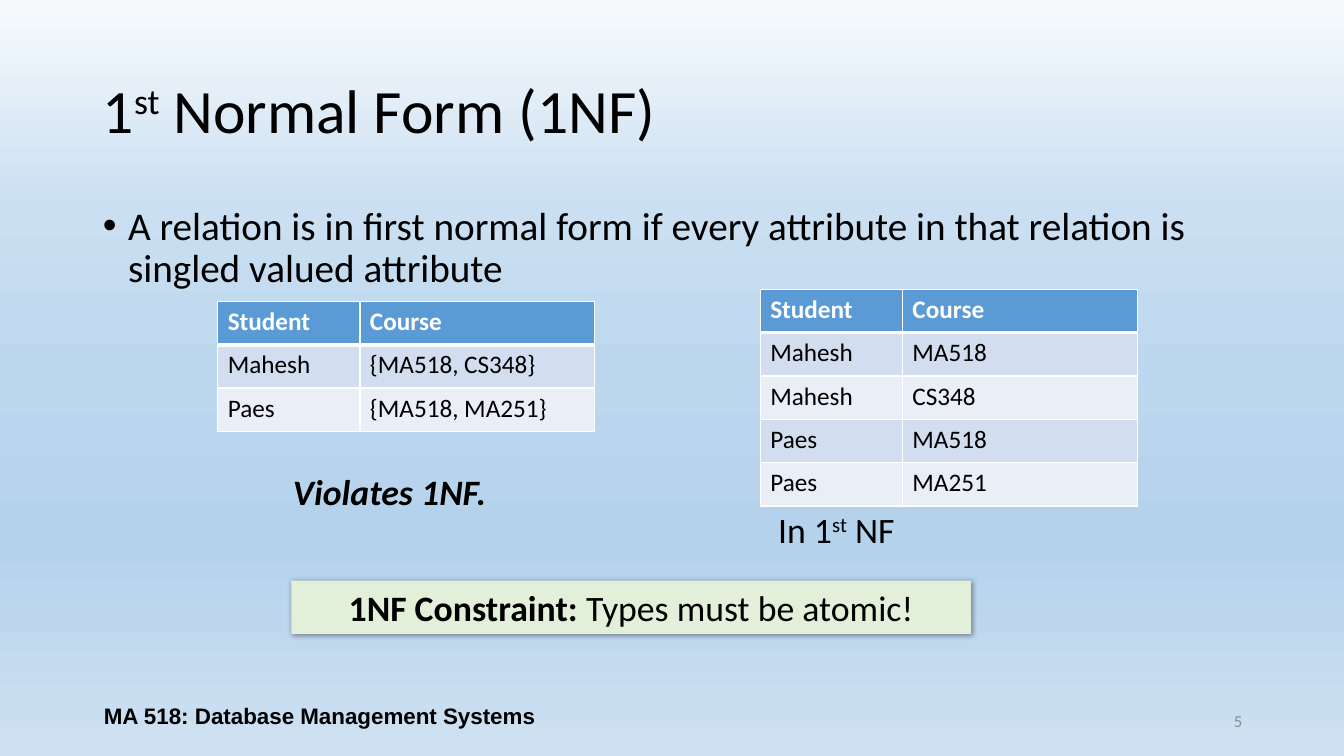
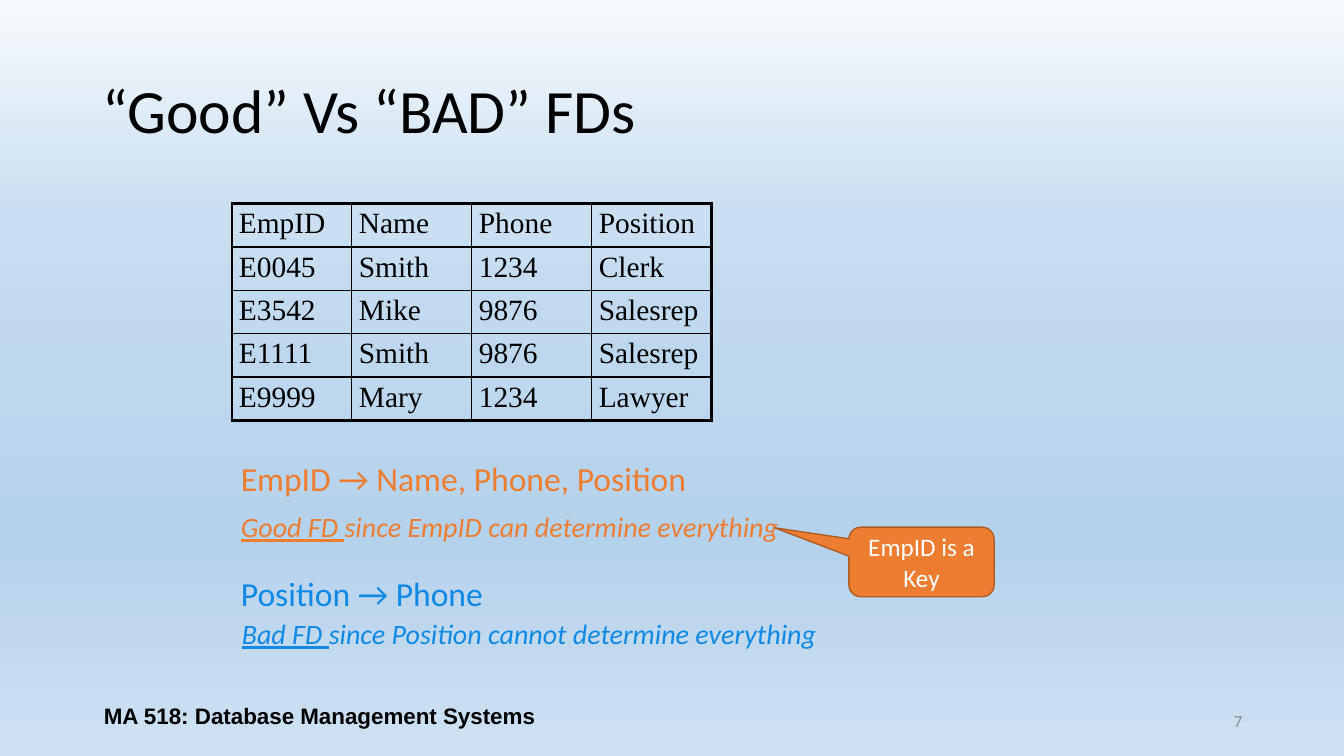
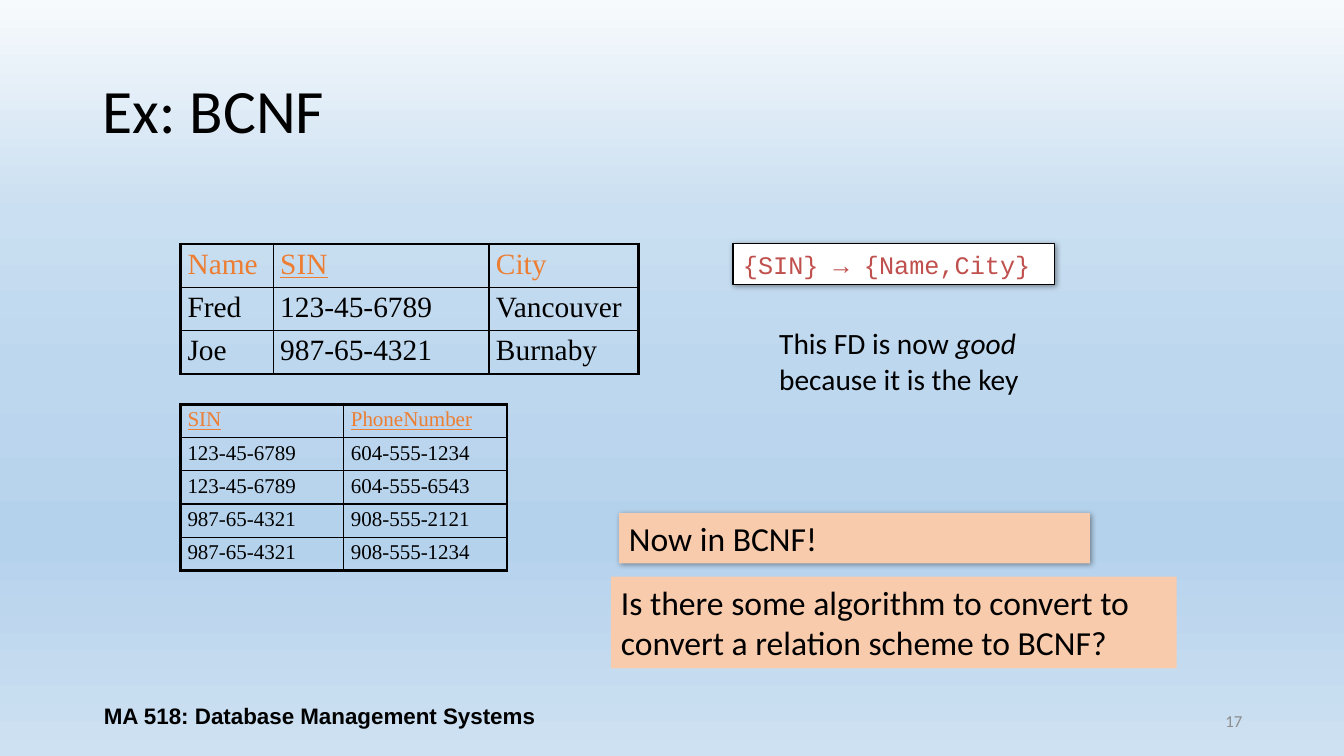
from lxml import etree
from pptx import Presentation
from pptx.dml.color import RGBColor
from pptx.enum import shapes, text
from pptx.oxml import ns
from pptx.util import Inches, Pt

COLORS = {
    "black": "000000", "white": "FFFFFF", "gray": "8C8C8C",
    "orange": "ED7D31", "rust": "AF5C24", "peach": "F8CBAD",
    "blue": "0F89E4", "header": "5B9BD5", "band": "D2DEEF", "pale band": "EAEFF7",
    "green": "E2F0D9", "red": "C0504D",
}
SKY = [(0, "F7FAFD"), (28, "CADFF1"), (49, "BDD7EE"), (72, "B5D2EC"), (100, "CEE1F2")]
COURSE = "MA 518: Database Management Systems"
NO_TABLE_STYLE = "{2D5ABB26-0587-4C30-8999-92F81FD0307C}"
LEFT, CENTER, RIGHT = text.PP_ALIGN.LEFT, text.PP_ALIGN.CENTER, text.PP_ALIGN.RIGHT
MIDDLE = text.MSO_ANCHOR.MIDDLE


def write(frame, runs, size, color="black", font="Calibri", align=LEFT):
    """Fill the first paragraph with a string or (words, marks) pairs.

    Marks are b, i, u and ^ for bold, italic, underline and superscript.
    """
    if isinstance(runs, str):
        runs = [(runs, "")]
    paragraph = frame.paragraphs[0]
    paragraph.alignment = align
    paragraph.font.size = Pt(size)
    paragraph.font.name = font
    paragraph.font.color.rgb = RGBColor.from_string(COLORS[color])
    for words, marks in runs:
        run = paragraph.add_run()
        run.text = words
        styled = paragraph.font if len(runs) == 1 else run.font
        styled.bold = "b" in marks
        styled.italic = "i" in marks
        styled.underline = "u" in marks
        if "^" in marks:
            run.font._element.set("baseline", "30000")
    return paragraph


def add_box(slide, box, runs, size, fill=None, line=None, line_width=1, shadow=False,
            kind=shapes.MSO_SHAPE.RECTANGLE, anchor=text.MSO_ANCHOR.TOP, **style):
    """Add a text box, or a preset shape when a fill is given."""
    place = [Inches(length) for length in box]
    if fill:
        added = slide.shapes.add_shape(kind, *place)
        added.shadow.inherit = False
        added.fill.solid()
        added.fill.fore_color.rgb = RGBColor.from_string(COLORS[fill])
        if line:
            added.line.color.rgb = RGBColor.from_string(COLORS[line])
            added.line.width = Pt(line_width)
        else:
            added.line.fill.background()
        if shadow:
            effects = added._element.spPr.find(ns.qn("a:effectLst"))
            cast = etree.SubElement(effects, ns.qn("a:outerShdw"), blurRad=str(Pt(4)),
                                    dist=str(Pt(1)), dir="2700000", rotWithShape="0")
            tint = etree.SubElement(cast, ns.qn("a:srgbClr"), val=COLORS["black"])
            etree.SubElement(tint, ns.qn("a:alpha"), val="40000")
    else:
        added = slide.shapes.add_textbox(*place)
    added.text_frame.word_wrap = True
    added.text_frame.vertical_anchor = anchor
    write(added.text_frame, runs, size, **style)
    return added


deck = Presentation()
deck.slide_width, deck.slide_height = Inches(13.33), Inches(7.5)

# Background shared through the master
background = deck.slide_master.background.fill
background.gradient()
gradient = next(deck.slide_master.element.iter(ns.qn("a:gradFill")))
for part in list(gradient):
    gradient.remove(part)
stops = etree.SubElement(gradient, ns.qn("a:gsLst"))
for percent, shade in SKY:
    stop = etree.SubElement(stops, ns.qn("a:gs"), pos=str(percent * 1000))
    etree.SubElement(stop, ns.qn("a:srgbClr"), val=shade)
etree.SubElement(gradient, ns.qn("a:lin"), ang="5400000", scaled="0")

# Titles, footers and slide numbers
TITLE_AND_CONTENT, TITLE_ONLY = deck.slide_layouts[1], deck.slide_layouts[5]
slides = []
for layout, number, heading in [
    (TITLE_AND_CONTENT, "5", [("1", ""), ("st", "^"), (" Normal Form (1NF)", "")]),
    (TITLE_ONLY, "7", "“Good” Vs “BAD” FDs"),
    (TITLE_ONLY, "17", "Ex: BCNF"),
]:
    slide = deck.slides.add_slide(layout)
    title = slide.shapes.title
    title.left, title.top = Inches(0.92), Inches(0.4)
    title.width, title.height = Inches(11.5), Inches(1.45)
    title.text_frame.vertical_anchor = MIDDLE
    write(title.text_frame, heading, 44).line_spacing = 0.9
    add_box(slide, (9.42, 6.95, 3, 0.4), number, 12, color="gray", align=RIGHT, anchor=MIDDLE)
    add_box(slide, (0.92, 6.9, 4.5, 0.4), [(COURSE, "b")], 16, font="Arial",
            align=CENTER, anchor=MIDDLE)
    slides.append(slide)
first_form, dependencies, bcnf = slides

# Tables
banded = dict(size=18, font="Calibri", header_color="white", line="white", outer=1,
              header_rule=3, fills=["header", "band", "pale band"], insets=(0.1, 0.05))
ruled = dict(size=21, font="Times New Roman", header_color="orange", line="black", outer=2.25,
             header_rule=1, fills=None, insets=(0.07, 0.04))
course_header = [[("Student", "b")], [("Course", "b")]]
for slide, place, row_height, widths, look, rows in [
    (first_form, (2.16, 2.99), 0.43, [1.41, 2.33], banded, [
        course_header,
        ["Mahesh", "{MA518, CS348}"],
        ["Paes", "{MA518, MA251}"],
    ]),
    (first_form, (7.54, 2.87), 0.43, [1.41, 2.33], banded, [
        course_header,
        ["Mahesh", "MA518"],
        ["Mahesh", "CS348"],
        ["Paes", "MA518"],
        ["Paes", "MA251"],
    ]),
    (dependencies, (2.3, 2.02), 0.42, [1.19] * 4,
     ruled | dict(header_color="black", header_rule=2.25), [
        ["EmpID", "Name", "Phone", "Position"],
        ["E0045", "Smith", "1234", "Clerk"],
        ["E3542", "Mike", "9876", "Salesrep"],
        ["E1111", "Smith", "9876", "Salesrep"],
        ["E9999", "Mary", "1234", "Lawyer"],
    ]),
    (bcnf, (1.79, 2.42), 0.42, [0.92, 2.14, 1.48], ruled, [
        ["Name", [("SIN", "u")], "City"],
        ["Fred", "123-45-6789", "Vancouver"],
        ["Joe", "987-65-4321", "Burnaby"],
    ]),
    (bcnf, (1.79, 4.01), 0.33, [1.62, 1.62], ruled | dict(size=15), [
        [[("SIN", "u")], [("PhoneNumber", "u")]],
        ["123-45-6789", "604-555-1234"],
        ["123-45-6789", "604-555-6543"],
        ["987-65-4321", "908-555-2121"],
        ["987-65-4321", "908-555-1234"],
    ]),
]:
    left, top = place
    frame = slide.shapes.add_table(len(rows), len(widths), Inches(left), Inches(top),
                                   Inches(sum(widths)), Inches(row_height * len(rows)))
    grid = frame.table
    grid.first_row = grid.horz_banding = False
    grid._tbl.tblPr.find(ns.qn("a:tableStyleId")).text = NO_TABLE_STYLE
    for column, width in zip(grid.columns, widths):
        column.width = Inches(width)
    # Rule widths from the first edge to the last
    across = [look["outer"]] + [1] * (len(widths) - 1) + [look["outer"]]
    down = [look["outer"], look["header_rule"]] + [1] * (len(rows) - 2) + [look["outer"]]
    for r, row in enumerate(rows):
        grid.rows[r].height = Inches(row_height)
        for c, words in enumerate(row):
            cell = grid.cell(r, c)
            cell.margin_left = cell.margin_right = Inches(look["insets"][0])
            cell.margin_top = cell.margin_bottom = Inches(look["insets"][1])
            write(cell.text_frame, words, look["size"], font=look["font"],
                  color="black" if r else look["header_color"])
            edges = {"L": across[c], "R": across[c + 1], "T": down[r], "B": down[r + 1]}
            for side, weight in edges.items():
                edge = etree.SubElement(cell._tc.get_or_add_tcPr(), ns.qn("a:ln" + side),
                                        w=str(Pt(weight)))
                ink = etree.SubElement(edge, ns.qn("a:solidFill"))
                etree.SubElement(ink, ns.qn("a:srgbClr"), val=COLORS[look["line"]])
            if look["fills"]:
                shade = look["fills"][0 if r == 0 else 2 - r % 2]
                cell.fill.solid()
                cell.fill.fore_color.rgb = RGBColor.from_string(COLORS[shade])
            else:
                cell.fill.background()

# 1st Normal Form
definition = first_form.placeholders[1]
definition.left, definition.top = Inches(0.92), Inches(2)
definition.width, definition.height = Inches(11.5), Inches(4.76)
bullet = definition.text_frame.paragraphs[0]._p.get_or_add_pPr()
bullet.set("marL", str(Inches(0.25)))
bullet.set("indent", str(Inches(-0.25)))
etree.SubElement(bullet, ns.qn("a:buChar"), char="•")
sentence = write(definition.text_frame, "A relation is in first normal form if every attribute "
                 "in that relation is singled valued attribute", 28)
sentence.line_spacing = 0.9
sentence.space_before = Pt(0)
add_box(first_form, (2.57, 4.61, 2.59, 0.53), [("Violates 1NF.", "bi")], 25.5, align=CENTER)
add_box(first_form, (7.55, 4.99, 1.49, 0.53), [("In 1", ""), ("st", "^"), (" NF", "")], 25.5,
        align=CENTER)
add_box(first_form, (2.89, 5.76, 6.74, 0.53),
        [("1NF Constraint: ", "b"), ("Types must be atomic!", "")], 25.5,
        fill="green", shadow=True, align=CENTER)

# Good and bad functional dependencies
for color, rule_box, rule, reason_box, verdict, reason in [
    ("orange", (2.29, 4.49, 4.69, 0.5), "EmpID → Name, Phone, Position",
     (2.29, 5.01, 5.64, 0.44), "Good FD ", "since EmpID can determine everything"),
    ("blue", (2.29, 5.63, 2.65, 0.5), "Position → Phone",
     (2.3, 6.07, 5.94, 0.44), "Bad FD ", "since Position cannot determine everything"),
]:
    add_box(dependencies, rule_box, rule, 24, color=color)
    add_box(dependencies, reason_box, [(verdict, "iu"), (reason, "i")], 20, color=color)
key_callout = add_box(dependencies, (8.42, 5.23, 1.44, 0.69), "EmpID is a Key", 18,
                      fill="orange", line="rust", color="white", align=CENTER, anchor=MIDDLE,
                      kind=shapes.MSO_SHAPE.ROUNDED_RECTANGULAR_CALLOUT)
for index, amount in enumerate([-1.01, -0.49, 0.17]):
    key_callout.adjustments[index] = amount

# BCNF example
add_box(bcnf, (7.27, 2.42, 3.19, 0.4), "{SIN} → {Name,City}", 18, fill="white", line="black",
        line_width=0.75, shadow=True, color="red", font="Courier New")
add_box(bcnf, (7.63, 3.18, 2.63, 0.81),
        [("This FD is now ", ""), ("good ", "i"), ("because it is the key", "")], 21)
add_box(bcnf, (6.14, 5.09, 4.67, 0.5), "Now in BCNF!", 24, fill="peach", shadow=True)
add_box(bcnf, (6.06, 5.72, 5.61, 0.91),
        "Is there some algorithm to convert to convert a relation scheme to BCNF?", 24,
        fill="peach")

deck.save("out.pptx")
